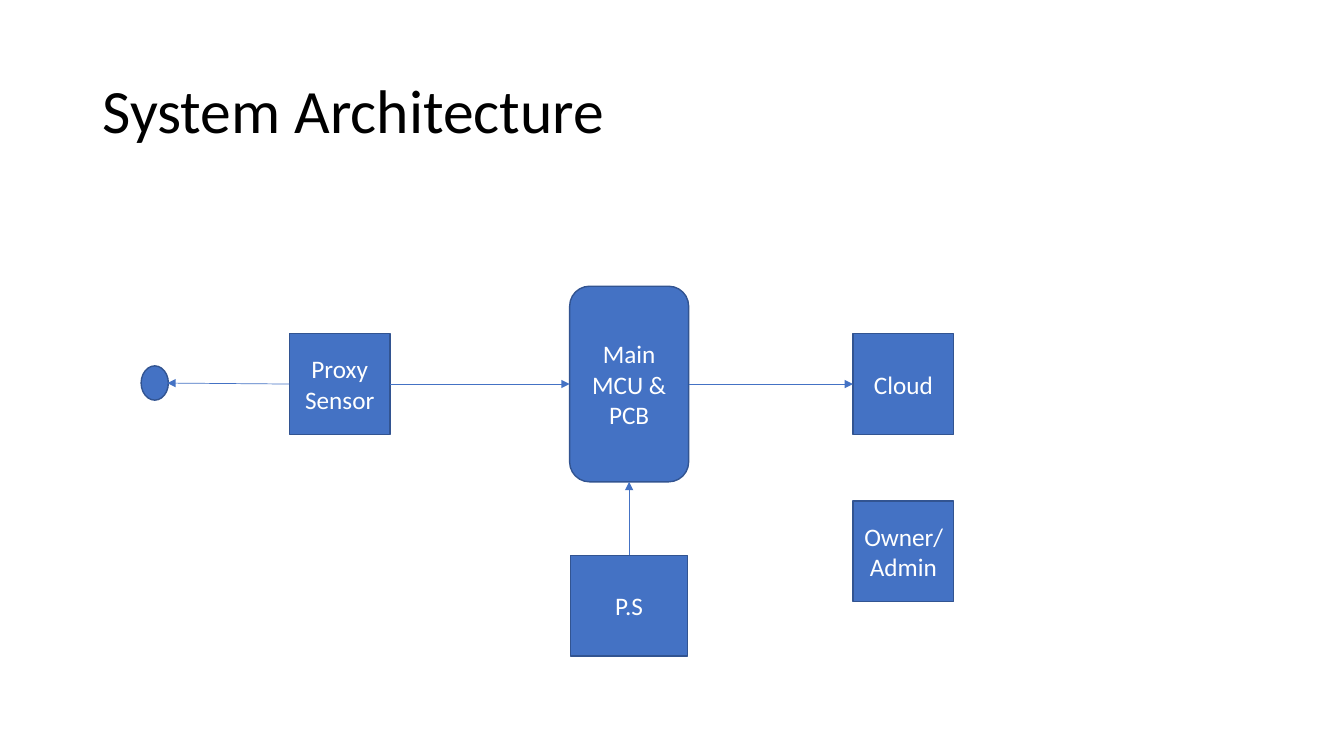
from pptx import Presentation
from pptx.dml.color import RGBColor as Rgb
from pptx.enum.shapes import MSO_CONNECTOR as Link, MSO_SHAPE as Kind
from pptx.enum.text import MSO_ANCHOR as Anchor, PP_ALIGN as Align
from pptx.oxml.ns import qn
from pptx.util import Inches, Pt
from lxml.etree import SubElement as add_tag

COLORS = {"fill": "4472C4", "edge": "325491", "text": "FFFFFF", "title": "000000"}
FONT = "Calibri"
TOP, LEFT, BOTTOM, RIGHT = range(4)


def tint(name):
    return Rgb.from_string(COLORS[name])


def write(shape, text, size=18, color="text", align=Align.CENTER, space=1.0):
    frame = shape.text_frame
    frame.word_wrap = True
    frame.vertical_anchor = Anchor.MIDDLE
    frame.text = text
    for para in frame.paragraphs:
        para.alignment = align
        para.line_spacing = space
        for run in para.runs:
            run.font.name = FONT
            run.font.size = Pt(size)
            run.font.color.rgb = tint(color)


class Board:
    """Holds the style and the current slide."""

    def __init__(self, slide, edge=1, wire=0.5):
        self.shapes = slide.shapes
        self.edge = Pt(edge)
        self.wire = Pt(wire)

    def title(self, text, x, y, w, h):
        box = self.shapes.add_textbox(Inches(x), Inches(y), Inches(w), Inches(h))
        write(box, text, size=44, color="title", align=Align.LEFT, space=0.9)

    def node(self, text, x, y, w=1, h=1, kind=Kind.RECTANGLE):
        node = self.shapes.add_shape(kind, Inches(x), Inches(y), Inches(w), Inches(h))
        node.shadow.inherit = False
        node.fill.solid()
        node.fill.fore_color.rgb = tint("fill")
        node.line.color.rgb = tint("edge")
        node.line.width = self.edge
        if text:
            write(node, text)
        return node

    def arrow(self, start, side, end, site=None):
        """Point from a node's side to another's, or to a free (x, y)."""
        x, y = (0, 0) if site is not None else end
        line = self.shapes.add_connector(Link.STRAIGHT, 0, 0, Inches(x), Inches(y))
        line.begin_connect(start, side)
        if site is not None:
            line.end_connect(end, site)
        line.line.color.rgb = tint("fill")
        line.line.width = self.wire
        props = line._element.spPr
        add_tag(props.find(qn("a:ln")), qn("a:tailEnd"), type="triangle")
        add_tag(props, qn("a:effectLst"))


def main():
    deck = Presentation()
    deck.slide_width, deck.slide_height = Inches(13.33), Inches(7.5)
    board = Board(deck.slides.add_slide(deck.slide_layouts[6]))

    # Title
    board.title("System Architecture", 0.92, 0.4, 11.5, 1.45)

    # Nodes
    sensor = board.node("Proxy Sensor", 2.87, 3.31)
    mcu = board.node("Main MCU &\nPCB", 5.65, 2.84, 1.18, 1.94, Kind.ROUNDED_RECTANGLE)
    cloud = board.node("Cloud", 8.46, 3.31)
    power = board.node("P.S", 5.66, 5.51, 1.16)
    board.node("", 1.4, 3.63, 0.27, 0.34, Kind.OVAL)
    board.node("Owner/Admin", 8.46, 4.97)

    # Arrows
    board.arrow(sensor, LEFT, (1.66, 3.8))
    board.arrow(sensor, RIGHT, mcu, LEFT)
    board.arrow(mcu, RIGHT, cloud, LEFT)
    board.arrow(power, TOP, mcu, BOTTOM)

    deck.save("out.pptx")


if __name__ == "__main__":
    main()
